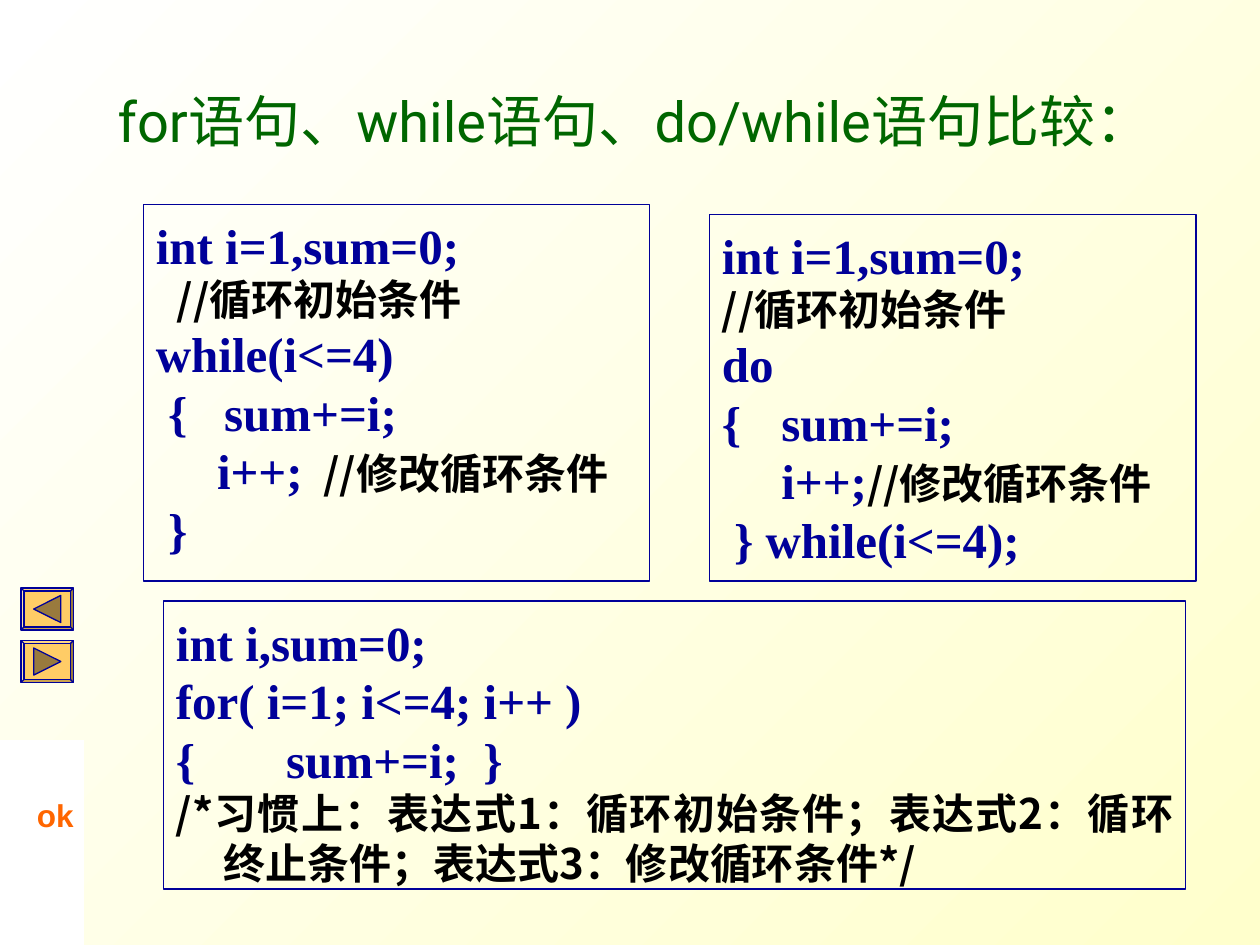
from typing import NamedTuple

import pptx
import pptx.util
import pptx.dml.color
import pptx.enum.shapes
import pptx.enum.text
import pptx.oxml.ns
from lxml import etree

Pt = pptx.util.Pt
Shape = pptx.enum.shapes.MSO_SHAPE
Align = pptx.enum.text.PP_ALIGN
Anchor = pptx.enum.text.MSO_ANCHOR
qn = pptx.oxml.ns.qn

COLORS = {
    "title": "006600", "code": "000099", "note": "000000", "ok": "FF6600",
    "button": "FFCC66", "arrow": "997A3D", "white": "FFFFFF", "cream": "FFFFCC",
}
SERIF, HAN = "Times New Roman", "Noto Sans CJK SC"
PITCH = 1.194  # line height per point of text size
INDENT = 27


class Area(NamedTuple):
    left: float
    top: float
    width: float
    height: float


class Style(NamedTuple):
    size: float
    face: str
    color: str
    bold: bool = True


class Part(NamedTuple):
    text: str
    style: Style


class Panel(NamedTuple):
    area: Area
    lines: list[list[Part]]


class Button(NamedTuple):
    top: float
    turn: int


CODE = Style(28, SERIF, "code")
GAP = Style(24, SERIF, "code")
NOTE = Style(24, HAN, "note")
HEAD = Style(32, "Roboto", "title", False)
OK = Style(18, "Arial", "ok")


def code(text: str) -> list[Part]:
    return [Part(text, CODE)]


def note(text: str) -> list[Part]:
    return [Part(text, NOTE)]


PANELS = [
    Panel(Area(82, 116.8, 289, 215.2), [
        code("int i=1,sum=0;"),
        [Part("  ", GAP), *note("//循环初始条件")],
        code("while(i<=4)"),
        code(" {   sum+=i;"),
        [*code("     i++;"), Part("  ", GAP), *note("//修改循环条件")],
        code(" }"),
    ]),
    Panel(Area(405.4, 122.4, 278, 209.6), [
        code("int i=1,sum=0;"),
        note("//循环初始条件"),
        code("do "),
        code("{\t sum+=i;"),
        [*code("\t i++;"), *note("//修改循环条件")],
        code(" } while(i<=4);"),
    ]),
    Panel(Area(93.5, 343.5, 584, 164.5), [
        code("int i,sum=0;"),
        code("for( i=1; i<=4; i++ )"),
        code("{  \t\tsum+=i;  }"),
        note("/*习惯上：表达式1：循环初始条件；表达式2：循环终止条件；"
             "表达式3：修改循环条件*/"),
    ]),
]
BUTTONS = [Button(336, -90), Button(366, 90)]


def rgb(name: str) -> pptx.dml.color.RGBColor:
    return pptx.dml.color.RGBColor.from_string(COLORS[name])


def place(shape, area: Area) -> None:
    shape.left, shape.top, shape.width, shape.height = map(Pt, area)


def dress(run, style: Style) -> None:
    font = run.font
    font.size, font.name, font.bold = Pt(style.size), style.face, style.bold
    font.color.rgb = rgb(style.color)
    latin = font._element.find(qn("a:latin"))
    east = etree.Element(qn("a:ea"), typeface=HAN)
    latin.addnext(east)


def shape(slide, kind, area: Area, fill: str = "", line: str = ""):
    """Add a preset shape; an empty colour name means none."""
    item = slide.shapes.add_shape(kind, *map(Pt, area))
    item.shadow.inherit = False
    if fill:
        item.fill.solid()
        item.fill.fore_color.rgb = rgb(fill)
    else:
        item.fill.background()
    if line:
        item.line.color.rgb = rgb(line)
        item.line.width = Pt(0.75)
    else:
        item.line.fill.background()
    return item


def hang(para) -> None:
    """Give the paragraph a hanging indent and tab stops one inch apart."""
    props = para._p.get_or_add_pPr()
    props.set("marL", str(Pt(INDENT)))
    props.set("indent", str(-Pt(INDENT)))
    tabs = etree.SubElement(props, qn("a:tabLst"))
    for stop in range(8):
        etree.SubElement(tabs, qn("a:tab"), pos=str(Pt(72 * stop)), algn="l")


def panel(slide, item: Panel) -> None:
    frame = shape(slide, Shape.RECTANGLE, item.area, line="code").text_frame
    frame.word_wrap = True
    frame.vertical_anchor = Anchor.TOP
    frame.margin_top = Pt(6.5)
    for i, line in enumerate(item.lines):
        para = frame.add_paragraph() if i else frame.paragraphs[0]
        hang(para)
        para.alignment = Align.JUSTIFY
        para.line_spacing = Pt(PITCH * max(p.style.size for p in line))
        for part in line:
            run = para.add_run()
            run.text = part.text
            dress(run, part.style)


def button(slide, item: Button) -> None:
    area = Area(12, item.top, 30, 24)
    bevel = shape(slide, Shape.BEVEL, area, "button", "code")
    bevel.adjustments[0] = 0.07
    side = 15.5
    spot = Area(area.left + (area.width - side) / 2,
                area.top + (area.height - side) / 2, side, side)
    arrow = shape(slide, Shape.ISOSCELES_TRIANGLE, spot, "arrow", "code")
    arrow.rotation = item.turn


def title(slide) -> None:
    head = slide.shapes.title
    place(head, Area(60, 37.5, 629, 62.5))
    frame = head.text_frame
    frame.text = "for语句、while语句、do/while语句比较："
    frame.word_wrap = True
    frame.auto_size = pptx.enum.text.MSO_AUTO_SIZE.NONE
    frame.vertical_anchor = Anchor.MIDDLE
    para = frame.paragraphs[0]
    para.alignment = Align.LEFT
    para.line_spacing = Pt(PITCH * HEAD.size)
    dress(para.runs[0], HEAD)


def label(slide) -> None:
    box = slide.shapes.add_textbox(*map(Pt, Area(14, 451.5, 40, 29)))
    box.text_frame.text = "ok"
    box.text_frame.word_wrap = True
    dress(box.text_frame.paragraphs[0].runs[0], OK)


def main() -> None:
    deck = pptx.Presentation()
    deck.slide_width, deck.slide_height = Pt(720), Pt(540)
    slide = deck.slides.add_slide(deck.slide_layouts[5])
    back = slide.background.fill
    back.gradient()
    back.gradient_angle = 315
    for stop, name in zip(back.gradient_stops, ("white", "cream")):
        stop.color.rgb = rgb(name)
    title(slide)
    for item in BUTTONS:
        button(slide, item)
    for item in PANELS:
        panel(slide, item)
    shape(slide, Shape.RECTANGLE, Area(0, 423, 48, 117), "white")
    label(slide)
    deck.save("out.pptx")


if __name__ == "__main__":
    main()
